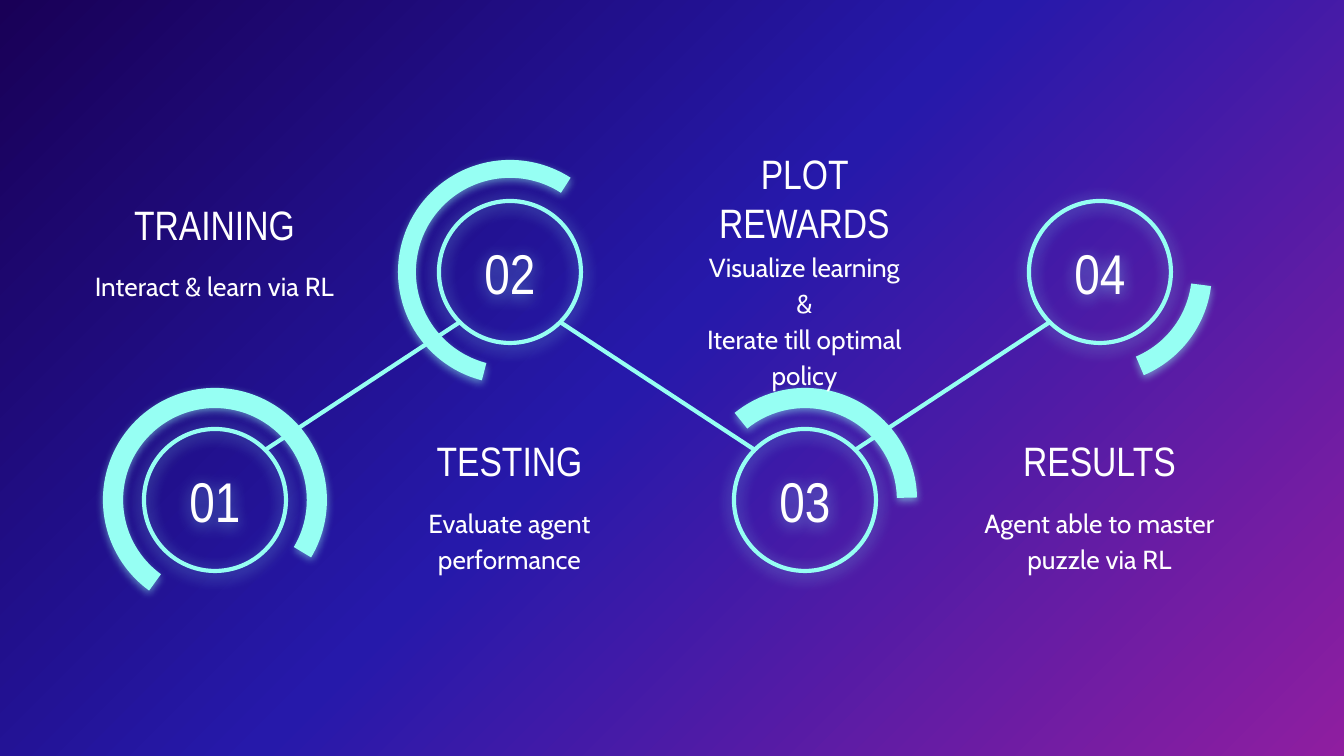
from copy import deepcopy
from lxml.etree import SubElement
from pptx import Presentation
from pptx.dml.color import RGBColor
from pptx.enum.shapes import MSO_CONNECTOR, MSO_SHAPE
from pptx.enum.text import MSO_ANCHOR, PP_ALIGN
from pptx.oxml.ns import qn
from pptx.util import Pt

PX = 6804  # EMU per px
AQUA, WHITE = "96FFF3", "FFFFFF"
HEAD, BODY = "Arial Narrow", "Cabin"
rgb = RGBColor.from_string


def write(shape, text, size, font, gap=None):
    frame = shape.text_frame
    frame.text = text
    frame.word_wrap = True
    for para in frame.paragraphs:
        para.alignment = PP_ALIGN.CENTER
        para.line_spacing = gap
        for run in para.runs:
            run.font.size = Pt(size)
            run.font.name = font
            run.font.color.rgb = rgb(WHITE)


def glow(shape, color, alpha, blur):
    shape.shadow.inherit = False
    effects = shape._element.spPr.find(qn("a:effectLst"))
    shade = SubElement(effects, qn("a:outerShdw"), blurRad=str(Pt(blur)),
                       dist=str(Pt(1.5)), dir="5400000", algn="bl", rotWithShape="0")
    tint = SubElement(shade, qn("a:srgbClr"), val=color)
    SubElement(tint, qn("a:alpha"), val=str(alpha * 1000))


prs = Presentation()
prs.slide_width, prs.slide_height = 1344 * PX, 756 * PX
slide = prs.slides.add_slide(prs.slide_layouts[6])
shapes = slide.shapes

# Background gradient with three stops
fill = slide.background.fill
fill.gradient()
fill.gradient_angle = 315
first = fill.gradient_stops[0]._gs
first.addnext(deepcopy(first))
for stop, (color, pos) in zip(fill.gradient_stops,
                              [("190057", 0), ("2619AA", 0.48), ("8F1EA0", 1)]):
    stop.color.rgb = rgb(color)
    stop.position = pos

# Steps: title, its top, body, its top, arc (turn, start and end degrees, thickness)
steps = [
    ("TRAINING", 199, "Interact & learn via RL", 266, (0, 126, 30.84, 0.09)),
    ("TESTING", 435, "Evaluate agent performance", 503, (60, 44.55, 242.77, 0.08)),
    ("PLOT REWARDS", 148, "Visualize learning\n&\nIterate till optimal policy", 247,
     (105, 126, 253.73, 0.09)),
    ("RESULTS", 435, "Agent able to master puzzle via RL", 503,
     (240, 127.17, 186.98, 0.09)),
]
mids = [(215 + 295 * i, 272 if i % 2 else 500) for i in range(len(steps))]

# Links from ring to ring, meeting each ring on its diagonal
for (x1, y1), (x2, y2) in zip(mids, mids[1:]):
    dy = 50 if y2 > y1 else -50
    link = shapes.add_connector(MSO_CONNECTOR.STRAIGHT, (x1 + 50) * PX, (y1 + dy) * PX,
                                (x2 - 50) * PX, (y2 - dy) * PX)
    link.line.color.rgb = rgb(AQUA)
    link.line.width = Pt(2.25)
    SubElement(link._element.spPr, qn("a:effectLst"))

# Numbered rings and their arcs
for i, ((x, y), step) in enumerate(zip(mids, steps), 1):
    ring = shapes.add_shape(MSO_SHAPE.OVAL, (x - 71) * PX, (y - 71) * PX, 142 * PX, 142 * PX)
    ring.fill.background()
    ring.line.color.rgb = rgb(AQUA)
    ring.line.width = Pt(2.25)
    glow(ring, "98FAFC", 56, 9)
    write(ring, f"{i:02}", 30, HEAD)
    ring.text_frame.vertical_anchor = MSO_ANCHOR.MIDDLE

    turn, start, end, thick = step[4]
    arc = shapes.add_shape(MSO_SHAPE.BLOCK_ARC, (x - 112) * PX, (y - 112) * PX,
                           224 * PX, 224 * PX)
    arc.rotation = turn
    arc.adjustments[0] = start * 0.6  # 60000 units per degree, over 100000
    arc.adjustments[1] = end * 0.6
    arc.adjustments[2] = thick
    arc.fill.solid()
    arc.fill.fore_color.rgb = rgb(AQUA)
    arc.line.fill.background()
    glow(arc, AQUA, 50, 4.5)

# Titles and bodies
for (x, y), (title, top, body, low, _) in zip(mids, steps):
    for text, t, high, size, font, gap in [(title, top, 47, 22, HEAD, None),
                                           (body, low, 95, 14, BODY, 1.15)]:
        box = shapes.add_textbox((x - 125) * PX, t * PX, 249 * PX, high * PX)
        write(box, text, size, font, gap)
        frame = box.text_frame
        frame.margin_left = frame.margin_right = 0
        frame.margin_top = frame.margin_bottom = 0

prs.save("out.pptx")
